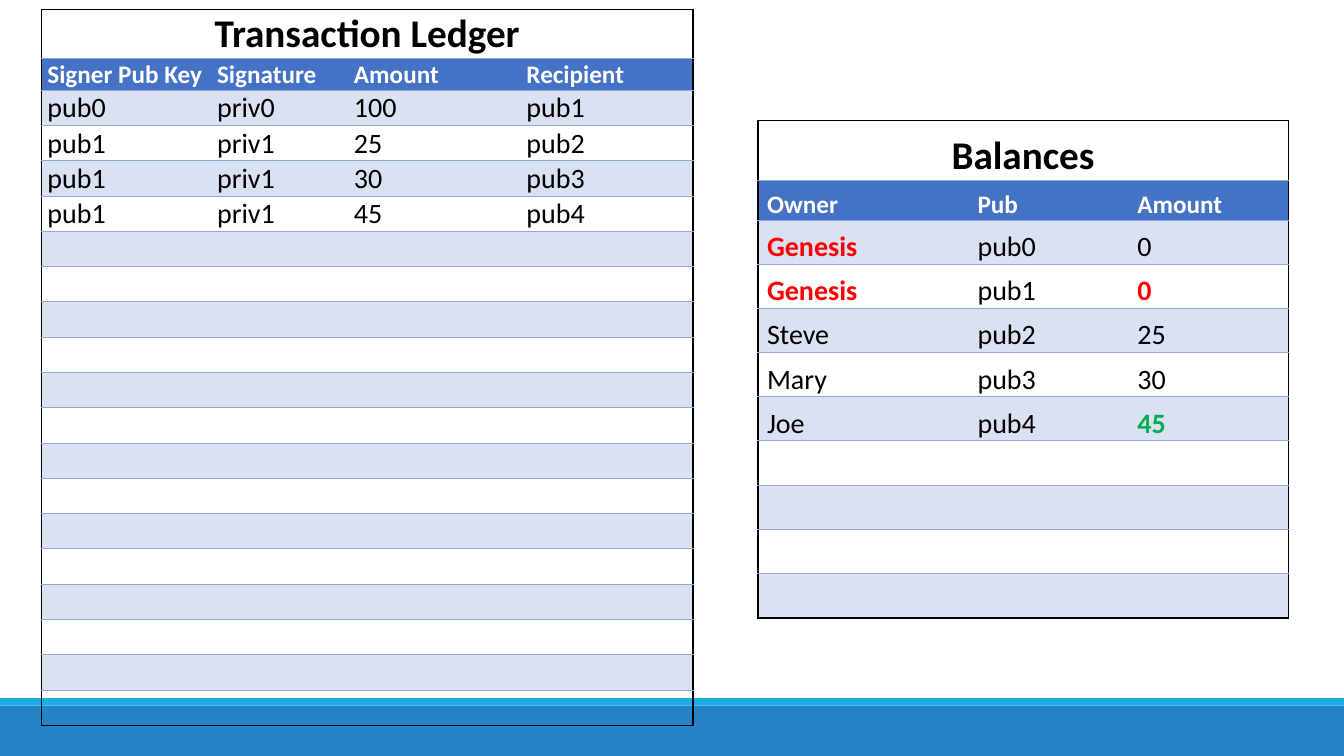
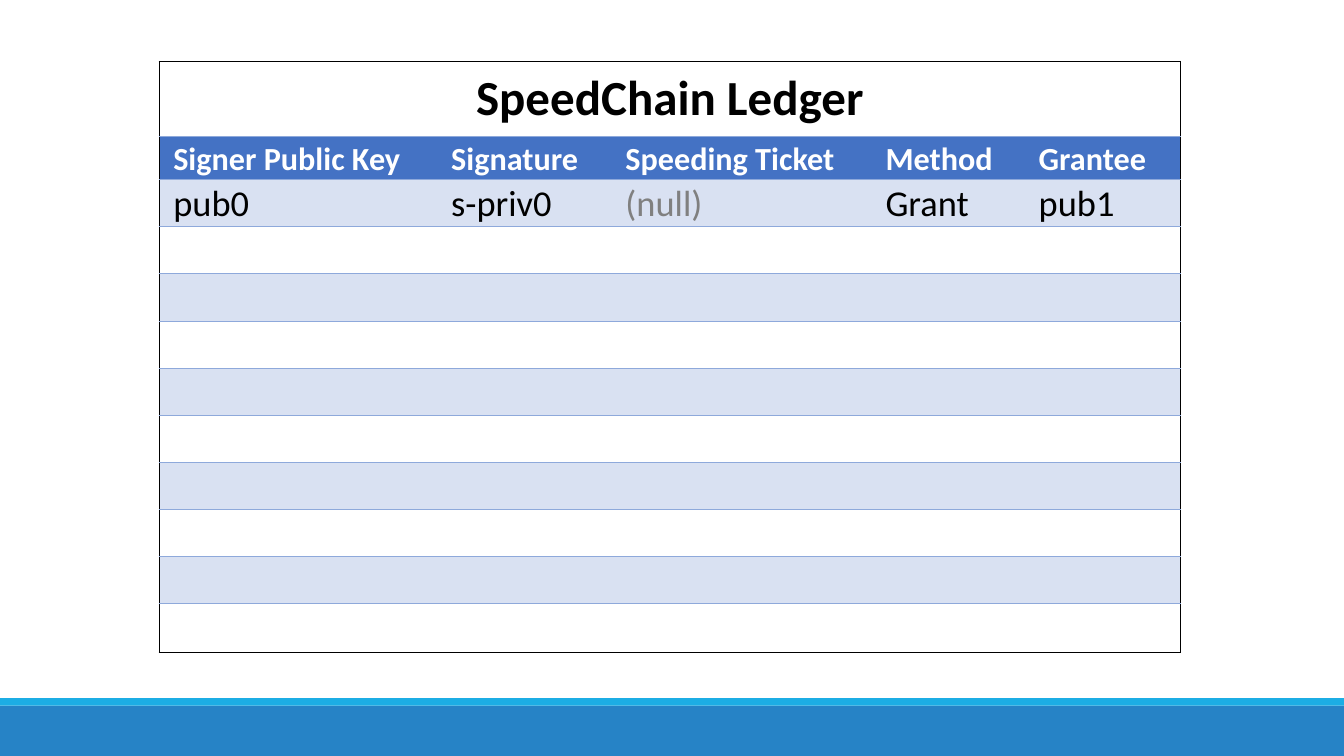
"""Build two slides of ledger and balance tables over a shared bottom band."""
import lxml.etree
import pptx
import pptx.dml.color
import pptx.enum.shapes
import pptx.enum.text
import pptx.oxml.ns
import pptx.util

Pt = pptx.util.Pt
qn = pptx.oxml.ns.qn
FONT = "Calibri"
NO_STYLE = "{2D5ABB26-0587-4C30-8999-92F81FD0307C}"
COLORS = {
    "band": "2683C6",
    "strip": "1CADE4",
    "header": "4472C4",
    "stripe": "D9E1F2",
    "rule": "8EA9DB",
    "black": "000000",
    "white": "FFFFFF",
    "red": "FF0000",
    "green": "00B050",
    "gray": "808080",
}


def rgb(name):
    return pptx.dml.color.RGBColor.from_string(COLORS[name])


def add_border(cell, side, color, width):
    ln = lxml.etree.SubElement(cell._tc.get_or_add_tcPr(), qn("a:ln" + side), w=str(Pt(width)))
    fill = lxml.etree.SubElement(ln, qn("a:solidFill"))
    lxml.etree.SubElement(fill, qn("a:srgbClr"), val=COLORS[color])


prs = pptx.Presentation()
prs.slide_width, prs.slide_height = Pt(960), Pt(540)
layout = prs.slide_layouts[6]
slides = [prs.slides.add_slide(layout) for _ in range(2)]

for color, top, height in [("band", 504, 36), ("strip", 498.7, 5.3)]:
    sp = slides[0].shapes.add_shape(
        pptx.enum.shapes.MSO_SHAPE.RECTANGLE, 0, Pt(top), prs.slide_width, Pt(height))
    sp.shadow.inherit = False
    sp.fill.solid()
    sp.fill.fore_color.rgb = rgb(color)
    sp.line.fill.background()
    layout.shapes.element.append(sp.element)

tables = [
    {
        "slide": slides[0], "left": 29.6, "top": 6.7,
        "widths": [121.2, 97.8, 123.2, 123.2],
        "heights": [35, 22.4] + [25] * 18,
        "sizes": (28, 18, 20),
        "title_insets": (0.7, 0.7, 0.7, 0), "insets": (4.3, 0.7, 0.7, 0),
        "rows": [
            ["Transaction Ledger"],
            ["Signer Pub Key", "Signature", "Amount", "Recipient"],
            ["pub0", "priv0", "100", "pub1"],
            ["pub1", "priv1", "25", "pub2"],
            ["pub1", "priv1", "30", "pub3"],
            ["pub1", "priv1", "45", "pub4"],
        ],
        "accents": {},
    },
    {
        "slide": slides[0], "left": 541.4, "top": 86,
        "widths": [150.4, 114.2, 114.2],
        "heights": [42.8, 28.6] + [31.5] * 8 + [32.2],
        "sizes": (28, 18, 20),
        "title_insets": (0.7, 0.7, 0.7, 0), "insets": (6.5, 0.7, 0.7, 0),
        "rows": [
            ["Balances"],
            ["Owner", "Pub", "Amount"],
            ["Genesis", "pub0", "0"],
            ["Genesis", "pub1", "0"],
            ["Steve", "pub2", "25"],
            ["Mary", "pub3", "30"],
            ["Joe", "pub4", "45"],
        ],
        "accents": {(2, 0): ("red", True), (3, 0): ("red", True),
                    (3, 2): ("red", True), (6, 2): ("green", True)},
    },
    {
        "slide": slides[1], "left": 113.8, "top": 44,
        "widths": [198.5, 124.5, 185.8, 109.4, 111.4],
        "heights": [53.2, 31] + [33.7] * 9 + [34.7],
        "sizes": (35, 23, 26),
        "title_insets": (10.8, 5, 10.8, 5), "insets": (10, 1.4, 1.4, 0),
        "rows": [
            ["SpeedChain Ledger"],
            ["Signer Public Key", "Signature", "Speeding Ticket", "Method", "Grantee"],
            ["pub0", "s-priv0", "(null)", "Grant", "pub1"],
        ],
        "accents": {(2, 2): ("gray", False)},
    },
]

for t in tables:
    widths, heights, rows = t["widths"], t["heights"], t["rows"]
    frame = t["slide"].shapes.add_table(
        len(heights), len(widths), Pt(t["left"]), Pt(t["top"]), Pt(sum(widths)), Pt(sum(heights)))
    table = frame.table
    table.first_row = table.horz_banding = False
    table._tbl.tblPr.find(qn("a:tableStyleId")).text = NO_STYLE
    for col, width in zip(table.columns, widths):
        col.width = Pt(width)
    for row, height in zip(table.rows, heights):
        row.height = Pt(height)
    table.cell(0, 0).merge(table.cell(0, len(widths) - 1))

    for i in range(len(heights)):
        size = t["sizes"][min(i, 2)]
        for j in range(len(widths)):
            cell = table.cell(i, j)
            span = cell.span_width if cell.is_merge_origin else 1
            if j == 0:
                add_border(cell, "L", "black", 1)
            if j + span == len(widths):
                add_border(cell, "R", "black", 1)
            add_border(cell, "T", *(("black", 1) if i == 0 else ("rule", 0.5)))
            add_border(cell, "B", *(("black", 1) if i == len(heights) - 1 else ("rule", 0.5)))

            if i == 0 or (i > 1 and i % 2):
                cell.fill.background()
            else:
                cell.fill.solid()
                cell.fill.fore_color.rgb = rgb("header" if i == 1 else "stripe")

            insets = t["title_insets"] if i == 0 else t["insets"]
            cell.margin_left, cell.margin_top, cell.margin_right, cell.margin_bottom = map(Pt, insets)
            cell.vertical_anchor = pptx.enum.text.MSO_ANCHOR.BOTTOM
            p = cell.text_frame.paragraphs[0]
            if i >= len(rows) or j >= len(rows[i]):
                lxml.etree.SubElement(p._p, qn("a:endParaRPr"), sz=str(size * 100))
                continue
            if i == 0:
                p.alignment = pptx.enum.text.PP_ALIGN.CENTER
            base = ("white" if i == 1 else "black", i < 2)
            color, bold = t["accents"].get((i, j), base)
            r = p.add_run()
            r.text = rows[i][j]
            r.font.name = FONT
            r.font.size = Pt(size)
            r.font.bold = bold
            r.font.color.rgb = rgb(color)

prs.save("out.pptx")
